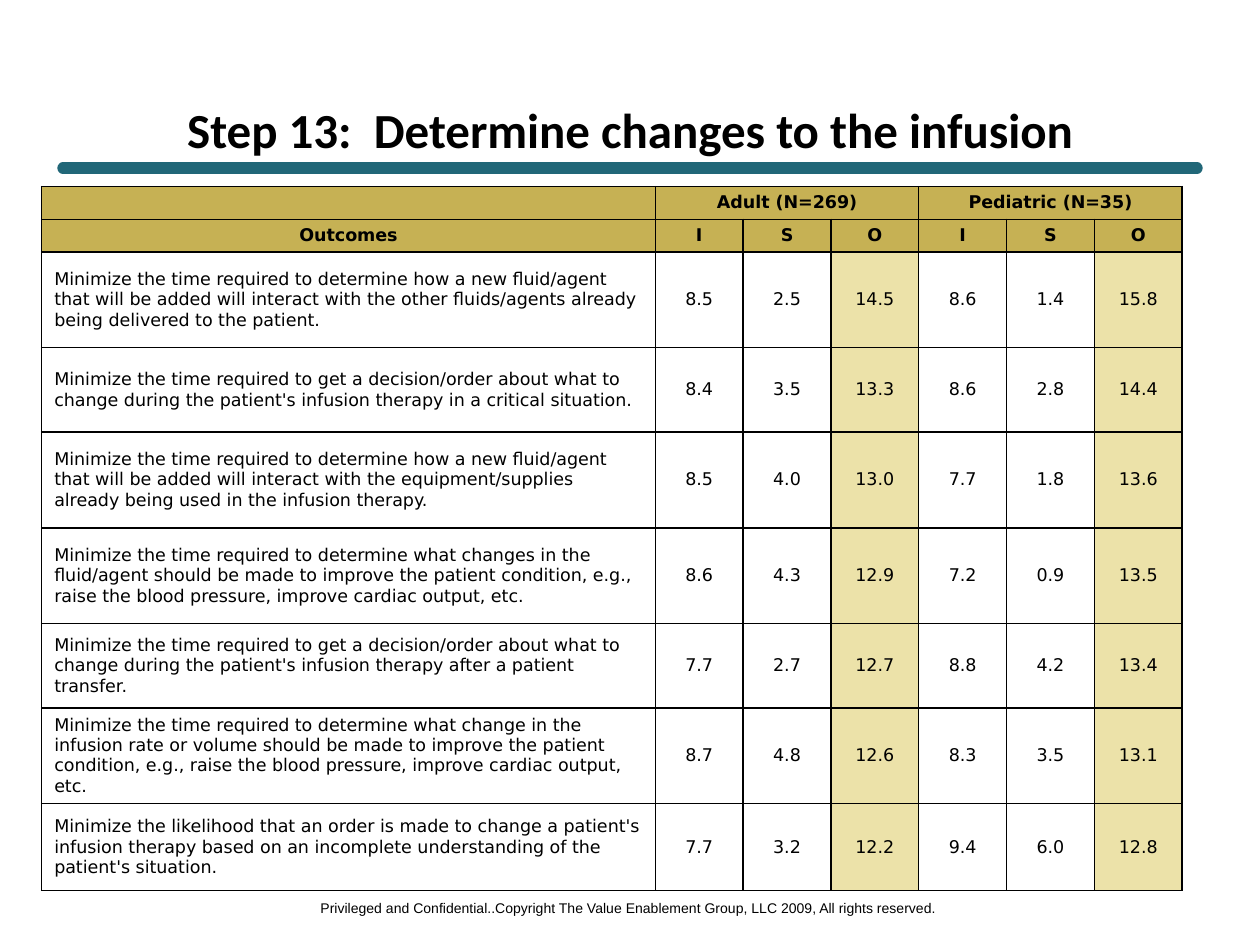
from lxml.etree import SubElement
from pptx import Presentation
from pptx.dml.color import RGBColor
from pptx.enum.shapes import MSO_CONNECTOR as CONN
from pptx.enum.text import MSO_ANCHOR as ANCHOR, MSO_AUTO_SIZE as FIT, PP_ALIGN as ALIGN
from pptx.oxml.ns import qn
from pptx.util import Cm, Pt

BLACK = RGBColor(0x00, 0x00, 0x00)
TEAL = RGBColor(0x21, 0x67, 0x78)
GOLD = RGBColor(0xC6, 0xB1, 0x54)
CREAM = RGBColor(0xEC, 0xE2, 0xA9)


def write(tf, text, font="DejaVu Sans", size=10, bold=False, align=ALIGN.CENTER):
    p = tf.paragraphs[0]
    p.alignment = align
    r = p.add_run()
    r.text = text
    r.font.name = font
    r.font.size = Pt(size)
    r.font.bold = bold
    r.font.color.rgb = BLACK


def add_borders(cell):
    tcPr = cell._tc.get_or_add_tcPr()
    for i, side in enumerate(("a:lnL", "a:lnR", "a:lnT", "a:lnB")):
        ln = tcPr.makeelement(qn(side), {"w": str(Pt(1))})
        SubElement(SubElement(ln, qn("a:solidFill")), qn("a:srgbClr"), val=str(BLACK))
        tcPr.insert(i, ln)


prs = Presentation()
prs.slide_width, prs.slide_height = Cm(25.4), Cm(19.05)
s = prs.slides.add_slide(prs.slide_layouts[5])

rule = s.shapes.add_connector(CONN.STRAIGHT, Cm(1.27), Cm(3.39), Cm(24.13), Cm(3.39))
rule.line.color.rgb = TEAL
rule.line.width = Pt(6.5)
rule.line._get_or_add_ln().set("cap", "rnd")
SubElement(rule._element.spPr, qn("a:effectLst"))

title = s.shapes.title
title.left, title.top, title.width, title.height = Cm(1.27), Cm(2.11), Cm(22.86), Cm(0.97)
tf = title.text_frame
tf.auto_size = FIT.NONE
tf.vertical_anchor = ANCHOR.MIDDLE
tf.margin_top = tf.margin_bottom = 0
write(tf, "Step 13:  Determine changes to the infusion", font="Calibri", size=28, bold=True)

footer = s.shapes.add_textbox(Cm(6.12), Cm(18.01), Cm(13.11), Cm(0.61))
footer.text_frame.word_wrap = False
write(
    footer.text_frame,
    "Privileged and Confidential..Copyright The Value Enablement Group, LLC 2009, All rights reserved.",
    font="Arial",
    size=8,
)

headers = [
    ["", "Adult (N=269)", "", "", "Pediatric (N=35)", "", ""],
    ["Outcomes", "I", "S", "O", "I", "S", "O"],
]
outcomes = [
    ["Minimize the time required to determine how a new fluid/agent that will be added will "
     "interact with the other fluids/agents already being delivered to the patient.",
     "8.5", "2.5", "14.5", "8.6", "1.4", "15.8"],
    ["Minimize the time required to get a decision/order about what to change during the "
     "patient's infusion therapy in a critical situation.",
     "8.4", "3.5", "13.3", "8.6", "2.8", "14.4"],
    ["Minimize the time required to determine how a new fluid/agent that will be added will "
     "interact with the equipment/supplies already being used in the infusion therapy.",
     "8.5", "4.0", "13.0", "7.7", "1.8", "13.6"],
    ["Minimize the time required to determine what changes in the fluid/agent should be made to "
     "improve the patient condition, e.g., raise the blood pressure, improve cardiac output, etc.",
     "8.6", "4.3", "12.9", "7.2", "0.9", "13.5"],
    ["Minimize the time required to get a decision/order about what to change during the "
     "patient's infusion therapy after a patient transfer.",
     "7.7", "2.7", "12.7", "8.8", "4.2", "13.4"],
    ["Minimize the time required to determine what change in the infusion rate or volume should "
     "be made to improve the patient condition, e.g., raise the blood pressure, improve cardiac "
     "output, etc.",
     "8.7", "4.8", "12.6", "8.3", "3.5", "13.1"],
    ["Minimize the likelihood that an order is made to change a patient's infusion therapy based "
     "on an incomplete understanding of the patient's situation.",
     "7.7", "3.2", "12.2", "9.4", "6.0", "12.8"],
]
rows = headers + outcomes
widths = [12.37] + [1.77] * 6
heights = [0.66, 0.66, 1.93, 1.7, 1.93, 1.93, 1.7, 1.93, 1.75]

frame = s.shapes.add_table(
    len(rows), len(widths), Cm(0.84), Cm(3.76), Cm(sum(widths)), Cm(sum(heights))
)
table = frame.table
for col, width in zip(table.columns, widths):
    col.width = Cm(width)
for row, height in zip(table.rows, heights):
    row.height = Cm(height)

for i, row in enumerate(rows):
    is_header = i < len(headers)
    for j, text in enumerate(row):
        cell = table.cell(i, j)
        cell.vertical_anchor = ANCHOR.MIDDLE
        cell.margin_top = cell.margin_bottom = Cm(0.1)
        if is_header or j in (3, 6):
            cell.fill.solid()
            cell.fill.fore_color.rgb = GOLD if is_header else CREAM
        else:
            cell.fill.background()
        add_borders(cell)
        if text:
            align = ALIGN.CENTER if is_header or j else ALIGN.LEFT
            write(cell.text_frame, text, bold=is_header, align=align)
        else:
            cell.text_frame.paragraphs[0].font.size = Pt(10)

for j in (1, 4):
    table.cell(0, j).merge(table.cell(0, j + 2))

prs.save("out.pptx")
